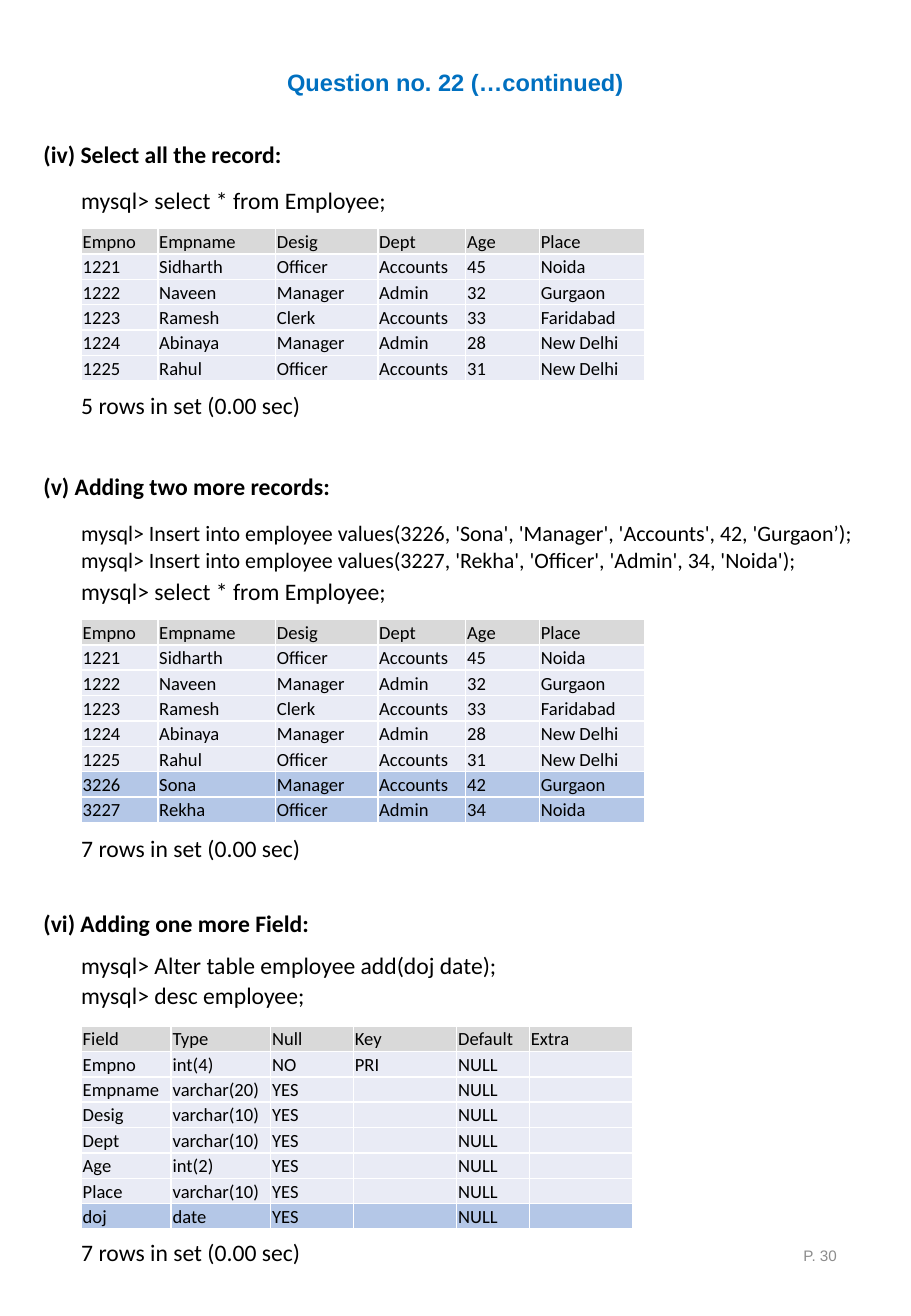
"""Builds a page of SQL exercises with three result tables."""
import pptx
import pptx.dml.color
import pptx.enum.text
import pptx.oxml
import pptx.oxml.ns
import pptx.util

Cm = pptx.util.Cm
Pt = pptx.util.Pt
Anchor = pptx.enum.text.MSO_ANCHOR
Align = pptx.enum.text.PP_ALIGN
Fit = pptx.enum.text.MSO_AUTO_SIZE

HUES = {"title": "0070C0", "text": "000000", "page": "8C8C8C", "head": "D9D9D9",
        "row": "E9EBF5", "new": "B4C7E7", "edge": "FFFFFF"}
LEFT, INDENT, WIDE, HIGH = 0.66, 1.45, 7.24, 0.86
SELECT = "mysql> select * from Employee;"

STAFF = [
    ["Empno", "Empname", "Desig", "Dept", "Age", "Place"],
    ["1221", "Sidharth", "Officer", "Accounts", "45", "Noida"],
    ["1222", "Naveen", "Manager", "Admin", "32", "Gurgaon"],
    ["1223", "Ramesh", "Clerk", "Accounts", "33", "Faridabad"],
    ["1224", "Abinaya", "Manager", "Admin", "28", "New Delhi"],
    ["1225", "Rahul", "Officer", "Accounts", "31", "New Delhi"],
]
ADDED = [
    ["3226", "Sona", "Manager", "Accounts", "42", "Gurgaon"],
    ["3227", "Rekha", "Officer", "Admin", "34", "Noida"],
]
FIELDS = [
    ["Field", "Type", "Null", "Key", "Default", "Extra"],
    ["Empno", "int(4)", "NO", "PRI", "NULL", ""],
    ["Empname", "varchar(20)", "YES", "", "NULL", ""],
    ["Desig", "varchar(10)", "YES", "", "NULL", ""],
    ["Dept", "varchar(10)", "YES", "", "NULL", ""],
    ["Age", "int(2)", "YES", "", "NULL", ""],
    ["Place", "varchar(10)", "YES", "", "NULL", ""],
    ["doj", "date", "YES", "", "NULL", ""],
]
STAFF_COLS = [1.6, 2.46, 2.14, 1.84, 1.54, 2.2]
FIELD_COLS = [1.88, 2.08, 1.73, 2.16, 1.52, 2.16]

HEADS = [
    (2.79, "(iv) Select all the record:"),
    (9.73, "(v) Adding two more records:"),
    (18.87, "(vi) Adding one more Field:"),
]
LINES = [
    (3.76, WIDE, SELECT),
    (8.05, WIDE, "5 rows in set (0.00 sec)"),
    (11.94, WIDE, SELECT),
    (17.3, WIDE, "7 rows in set (0.00 sec)"),
    (19.76, 13.89, "mysql> Alter table employee add(doj date);"),
    (20.37, 8.99, "mysql> desc employee;"),
    (25.76, WIDE, "7 rows in set (0.00 sec)"),
]
INSERT = ("mysql> Insert into employee values(3226, 'Sona', 'Manager', 'Accounts', 42, 'Gurgaon’);\n"
          "mysql> Insert into employee values(3227, 'Rekha', 'Officer', 'Admin', 34, 'Noida');")


def tint(name):
    """Return the named colour."""
    return pptx.dml.color.RGBColor.from_string(HUES[name])


def style(frame, size, hue="text", face="Calibri", bold=False):
    """Format every run of a text frame."""
    for para in frame.paragraphs:
        for run in para.runs:
            run.font.size = Pt(size)
            run.font.name = face
            run.font.bold = bold
            run.font.color.rgb = tint(hue)


def add_title(slide, text):
    """Fill and place the title."""
    title = slide.shapes.title
    title.left, title.top, title.width, title.height = Cm(5.74), Cm(1.3), Cm(7.57), Cm(HIGH)
    frame = title.text_frame
    frame.text = text
    frame.word_wrap = False
    frame.auto_size = Fit.SHAPE_TO_FIT_TEXT
    frame.vertical_anchor = Anchor.TOP
    frame.paragraphs[0].alignment = Align.CENTER
    style(frame, 14, "title", "Arial", True)


def add_text(slide, left, top, width, text, size=14, bold=False, high=HIGH):
    """Add a wrapped text box."""
    box = slide.shapes.add_textbox(Cm(left), Cm(top), Cm(width), Cm(high))
    frame = box.text_frame
    frame.text = text
    frame.word_wrap = True
    frame.auto_size = Fit.SHAPE_TO_FIT_TEXT
    style(frame, size, bold=bold)


def add_page(slide, text):
    """Add the page number at the lower right."""
    box = slide.shapes.add_textbox(Cm(13.46), Cm(25.5), Cm(4.29), Cm(1.47))
    frame = box.text_frame
    frame.text = text
    frame.word_wrap = True
    frame.vertical_anchor = Anchor.MIDDLE
    frame.paragraphs[0].alignment = Align.RIGHT
    style(frame, 9, "page", "Arial")


def add_edges(cell):
    """Draw thin lines on the four sides of a cell."""
    props = cell._tc.get_or_add_tcPr()
    space = pptx.oxml.ns.nsdecls("a")
    for spot, side in enumerate("LRTB"):
        props.insert(spot, pptx.oxml.parse_xml(
            f'<a:ln{side} {space} w="12700"><a:solidFill>'
            f'<a:srgbClr val="{HUES["edge"]}"/></a:solidFill></a:ln{side}>'))


def fill_cell(cell, text, hue):
    """Write and format one table cell."""
    cell.text = text
    cell.margin_left = cell.margin_right = cell.margin_top = Cm(0.03)
    cell.margin_bottom = 0
    cell.vertical_anchor = Anchor.MIDDLE
    cell.fill.solid()
    cell.fill.fore_color.rgb = tint(hue)
    add_edges(cell)
    style(cell.text_frame, 11)
    if not text:
        cell.text_frame.paragraphs[0]._p.get_or_add_endParaRPr().set("sz", "1100")


def add_grid(slide, top, rows, cols, fresh=0):
    """Add a result table whose last fresh rows are marked."""
    step = 0.53
    frame = slide.shapes.add_table(len(rows), len(cols), Cm(1.7), Cm(top),
                                   Cm(sum(cols)), Cm(step * len(rows)))
    table = frame.table
    table.first_row = table.horz_banding = False
    for col, width in zip(table.columns, cols):
        col.width = Cm(width)
    for i, row in enumerate(rows):
        table.rows[i].height = Cm(step)
        hue = "head" if i == 0 else "new" if i >= len(rows) - fresh else "row"
        for j, text in enumerate(row):
            fill_cell(table.cell(i, j), text, hue)


def main():
    """Build and save the slide."""
    deck = pptx.Presentation()
    deck.slide_width, deck.slide_height = Cm(19.05), Cm(27.51)
    slide = deck.slides.add_slide(deck.slide_layouts[5])
    add_title(slide, "Question no. 22 (…continued)")
    for top, text in HEADS:
        add_text(slide, LEFT, top, WIDE, text, bold=True)
    for top, width, text in LINES:
        add_text(slide, INDENT, top, width, text)
    add_text(slide, INDENT, 10.74, 17.55, INSERT, size=13, high=1.37)
    add_grid(slide, 4.78, STAFF, STAFF_COLS)
    add_grid(slide, 12.95, STAFF + ADDED, STAFF_COLS, 2)
    add_grid(slide, 21.45, FIELDS, FIELD_COLS, 1)
    add_page(slide, "P. 30")
    deck.save("out.pptx")


if __name__ == "__main__":
    main()
